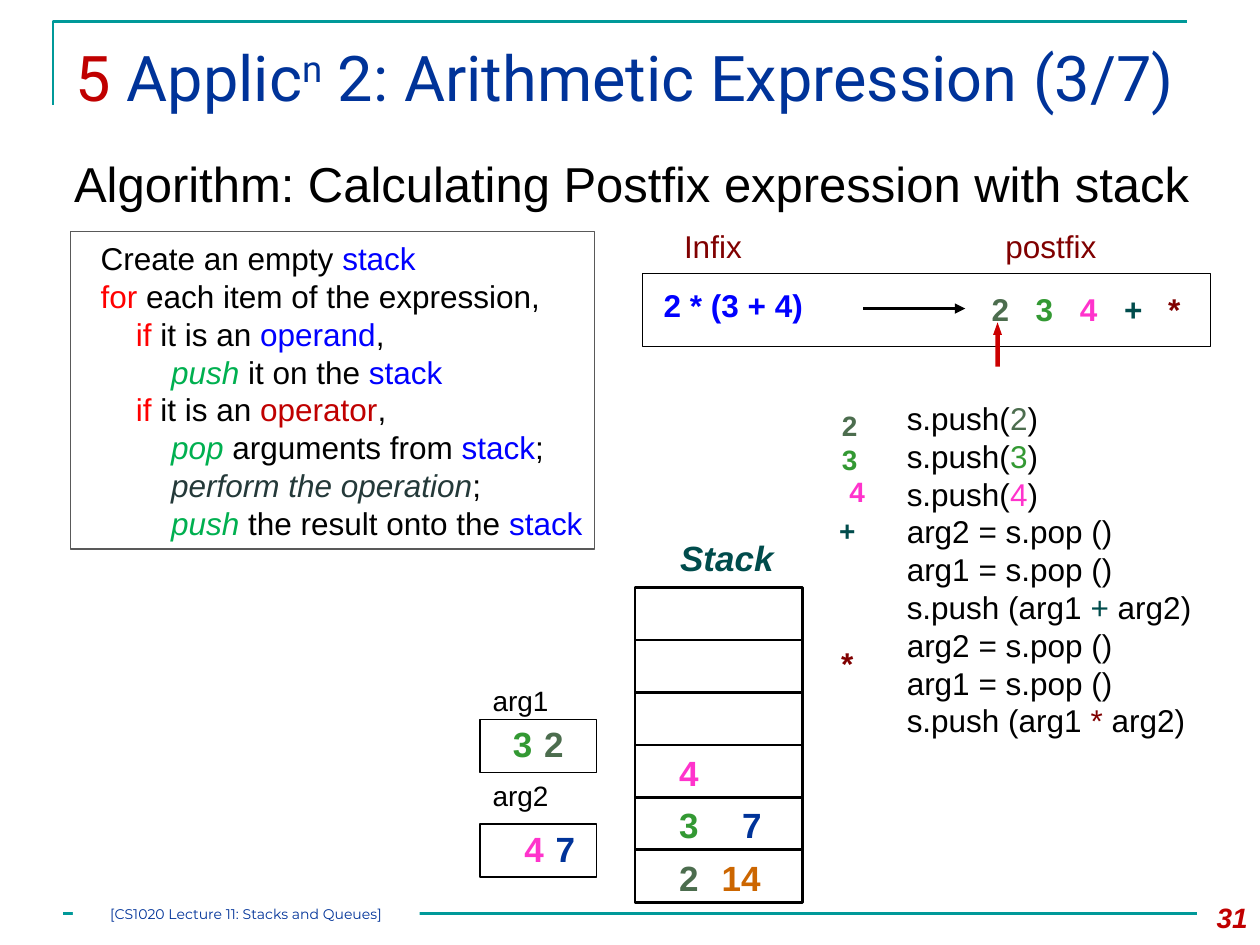
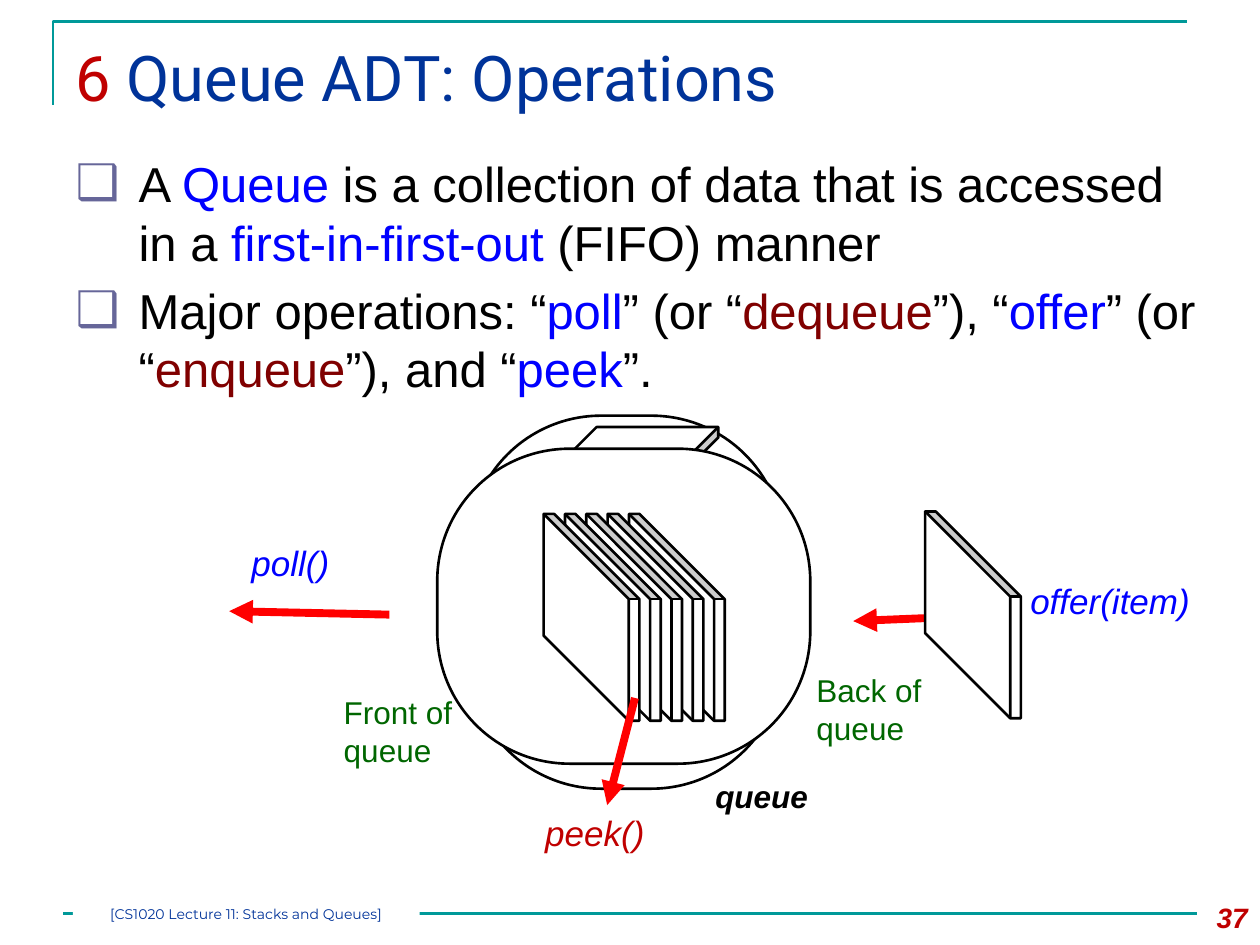
import pptx
import pptx.util
import pptx.dml.color
import pptx.enum.shapes
import pptx.enum.text
import pptx.oxml
import pptx.oxml.ns

Cm, Pt = pptx.util.Cm, pptx.util.Pt
RGBColor = pptx.dml.color.RGBColor
SHAPE = pptx.enum.shapes.MSO_SHAPE
ALIGN = pptx.enum.text.PP_ALIGN

BLACK = RGBColor(0x00, 0x00, 0x00)
WHITE = RGBColor(0xFF, 0xFF, 0xFF)
GRAY = RGBColor(0x59, 0x59, 0x59)
TEAL = RGBColor(0x00, 0x99, 0x99)
DEEP_TEAL = RGBColor(0x00, 0x4C, 0x4C)
SLATE = RGBColor(0x24, 0x39, 0x39)
NAVY = RGBColor(0x00, 0x33, 0x99)
BLUE = RGBColor(0x00, 0x00, 0xFF)
VIOLET = RGBColor(0x66, 0x66, 0x99)
RED = RGBColor(0xFF, 0x00, 0x00)
POINTER_RED = RGBColor(0xCC, 0x00, 0x00)
CRIMSON = RGBColor(0xC0, 0x00, 0x00)
MAROON = RGBColor(0x80, 0x00, 0x00)
LEAF = RGBColor(0x00, 0xB0, 0x50)
FOREST = RGBColor(0x00, 0x66, 0x00)
MOSS = RGBColor(0x4C, 0x6D, 0x4E)
GREEN = RGBColor(0x33, 0x99, 0x33)
PINK = RGBColor(0xFF, 0x33, 0xCC)
ORANGE = RGBColor(0xCC, 0x66, 0x00)

FOOTER = "[CS1020 Lecture 11: Stacks and Queues]"
TITLE_BOX = (1.27, 0.64, 23.7, 2.18)


def add_xml(parent, markup):
    """Append one drawing element given as markup."""
    namespace = pptx.oxml.ns.nsdecls("a")
    parent.append(pptx.oxml.parse_xml(markup.replace("/>", f" {namespace}/>", 1)))


def write(frame, paragraphs, size, color=BLACK, bold=None, italic=None,
          name="Arial", align=ALIGN.LEFT):
    """Fill a text frame; a run is a string or (text, color[, italic])."""
    for index, runs in enumerate(paragraphs):
        paragraph = frame.paragraphs[0] if index == 0 else frame.add_paragraph()
        paragraph.alignment = align
        font = paragraph.font
        font.name, font.size, font.bold, font.italic = name, Pt(size), bold, italic
        font.color.rgb = color
        for part in [runs] if isinstance(runs, str) else runs:
            text, *style = (part,) if isinstance(part, str) else part
            run = paragraph.add_run()
            run.text = text
            if style:
                run.font.color.rgb = style[0]
            if len(style) > 1:
                run.font.italic = style[1]


def add_label(slide, box, paragraphs, size, color=BLACK, **style):
    """Add a wrapping text box."""
    shape = slide.shapes.add_textbox(*map(Cm, box))
    shape.text_frame.word_wrap = True
    if isinstance(paragraphs, str):
        paragraphs = [paragraphs]
    write(shape.text_frame, paragraphs, size, color, **style)
    return shape


def add_block(slide, kind, box, fill=None, line=None, width=0.75,
              adjustments=(), rotation=0):
    """Add a preset shape without shadow."""
    shape = slide.shapes.add_shape(kind, *map(Cm, box))
    shape.shadow.inherit = False
    shape.rotation = rotation
    for index, value in enumerate(adjustments):
        shape.adjustments[index] = value
    if fill is None:
        shape.fill.background()
    else:
        shape.fill.solid()
        shape.fill.fore_color.rgb = fill
    if line is None:
        shape.line.fill.background()
    else:
        shape.line.color.rgb = line
        shape.line.width = Pt(width)
    return shape


def add_line(slide, ends, color=BLACK, width=1.5, arrow=False):
    """Add a straight line, with an arrowhead at its end on request."""
    straight = pptx.enum.shapes.MSO_CONNECTOR.STRAIGHT
    connector = slide.shapes.add_connector(straight, *map(Cm, ends))
    connector.line.color.rgb = color
    connector.line.width = Pt(width)
    if arrow:
        add_xml(connector.line._get_or_add_ln(), '<a:tailEnd type="triangle"/>')
    add_xml(connector._element.spPr, "<a:effectLst/>")


def add_frame(slide, number):
    """Draw the corner rule, footer and page number."""
    builder = slide.shapes.build_freeform(Cm(1.07), Cm(2.11))
    builder.add_line_segments([(Cm(1.07), Cm(0.43)), (Cm(23.93), Cm(0.43))], close=False)
    corner = builder.convert_to_shape()
    corner.shadow.inherit = False
    corner.fill.background()
    corner.line.color.rgb = TEAL
    corner.line.width = Pt(1.5)
    add_line(slide, (1.27, 18.42, 24.13, 18.42), TEAL)
    add_label(slide, (23.7, 18.03, 1.7, 1.02), str(number), 16, CRIMSON,
              bold=True, italic=True, align=ALIGN.RIGHT)
    footer = add_block(slide, SHAPE.RECTANGLE, (1.47, 18.21, 6.99, 0.43), WHITE)
    frame = footer.text_frame
    frame.margin_left = frame.margin_right = frame.margin_top = frame.margin_bottom = 0
    write(frame, [FOOTER], 8, NAVY, name="Montserrat", align=ALIGN.CENTER)


def fill_placeholder(shape, box):
    """Move a placeholder and return its top-anchored text frame."""
    shape.left, shape.top, shape.width, shape.height = map(Cm, box)
    frame = shape.text_frame
    frame.word_wrap = True
    frame.auto_size = pptx.enum.text.MSO_AUTO_SIZE.NONE
    frame.vertical_anchor = pptx.enum.text.MSO_ANCHOR.TOP
    return frame


def start_slide(presentation, number, title, body_box, body, bullet=None):
    """Add a slide with its frame, title and body text."""
    slide = presentation.slides.add_slide(presentation.slide_layouts[1])
    write(fill_placeholder(slide.shapes.title, TITLE_BOX), [title], 36, NAVY, name="Roboto")
    frame = fill_placeholder(slide.placeholders[1], body_box)
    write(frame, body, 28)
    for index, paragraph in enumerate(frame.paragraphs):
        paragraph.space_before = Pt(5 if index else 0)
        properties = paragraph._p.get_or_add_pPr()
        indent = Cm(1.27 if bullet else 0)
        properties.set("marL", str(indent))
        properties.set("indent", str(-indent))
        default_font = properties.find(pptx.oxml.ns.qn("a:defRPr"))
        properties.remove(default_font)
        if bullet:
            add_xml(properties, f'<a:buClr><a:srgbClr val="{VIOLET}"/></a:buClr>'
                    .replace("<a:buClr>", f'<a:buClr {pptx.oxml.ns.nsdecls("a")}>'))
            add_xml(properties, f'<a:buChar char="{bullet}"/>')
        else:
            add_xml(properties, "<a:buNone/>")
        properties.append(default_font)
    add_frame(slide, number)
    return slide


def add_algorithm(slide, box):
    """Draw the boxed pseudocode with one indent per nesting level."""
    steps = [
        (0, ["Create an empty ", ("stack", BLUE)]),
        (0, [("for", RED), " each item of the expression,"]),
        (1, [("if", RED), " it is an ", ("operand", BLUE), ","]),
        (2, [("push ", LEAF, True), "it on the ", ("stack", BLUE)]),
        (1, [("if", RED), " it is an ", ("operator", CRIMSON), ","]),
        (2, [("pop", LEAF, True), " arguments from ", ("stack", BLUE), ";"]),
        (2, [("perform the operation", SLATE, True), ";"]),
        (2, [("push", LEAF, True), " the result onto the ", ("stack", BLUE)]),
    ]
    panel = add_block(slide, SHAPE.RECTANGLE, box, line=GRAY)
    frame = panel.text_frame
    frame.margin_right = 0
    write(frame, [runs for level, runs in steps], 18)
    for (level, runs), paragraph in zip(steps, frame.paragraphs):
        paragraph._p.get_or_add_pPr().set("marL", str(Cm(0.36 + 0.71 * level)))


def add_expression(slide, box):
    """Draw the infix to postfix conversion and the reading pointer."""
    left, top, width, height = box
    add_label(slide, (left + 0.59, top, 3, 1.02), "Infix", 18, MAROON)
    add_label(slide, (left + 7.07, top, 4, 1.02), "postfix", 18, MAROON)
    add_block(slide, SHAPE.RECTANGLE, (left, top + 1.06, width, height - 1.06), line=BLACK)
    add_label(slide, (left + 0.18, top + 1.19, 4.62, 1.02), "2 * (3 + 4)", 18, BLUE, bold=True)
    add_line(slide, (left + 4.45, top + 1.77, left + 6.51, top + 1.77), arrow=True)
    tokens = zip("234+*", (MOSS, GREEN, PINK, DEEP_TEAL, MAROON))
    for index, (token, color) in enumerate(tokens):
        add_label(slide, (left + 6.79 + 0.89 * index, top + 1.27, 0.95, 1.02),
                  token, 18, color, bold=True)
    add_block(slide, SHAPE.UP_ARROW, (left + 7.07, top + 2.05, 0.18, 0.89),
              POINTER_RED, adjustments=(0.5, 1.41))


def add_program(slide, box):
    """List the stack calls beside the tokens that cause them."""
    left, top, width, height = box
    pops = ["arg2 = s.pop ()", "arg1 = s.pop ()"]
    pushes = [["s.push(", item, ")"] for item in (("2", MOSS), ("3", GREEN), ("4", PINK))]
    results = [["s.push (arg1 ", item, " arg2)"] for item in (("+", DEEP_TEAL), ("*", MAROON))]
    calls = [*pushes, *pops, results[0], *pops, results[1]]
    add_label(slide, (left + 1.6, top, width - 1.6, height), calls, 18)
    for token, color, size, shift, drop in (
            ("2", MOSS, 16, 0, 0.2), ("3", GREEN, 16, 0, 0.87), ("4", PINK, 16, 0.15, 1.53),
            ("+", DEEP_TEAL, 16, -0.05, 2.3), ("*", MAROON, 18, -0.05, 4.93)):
        add_label(slide, (left + shift, top + drop, 1.4, 0.95), token, size, color,
                  bold=True, align=ALIGN.CENTER)


def add_stack(slide, box):
    """Draw the titled stack of six cells and its values."""
    left, top, width, height = box
    add_label(slide, (left + 0.66, top, 2.7, 1.12), "Stack", 20, DEEP_TEAL,
              bold=True, italic=True)
    top, height = top + 1.15, height - 1.15
    row_height = height / 6
    add_block(slide, SHAPE.RECTANGLE, (left, top, width, height), line=BLACK, width=1.5)
    for row in range(1, 6):
        edge = top + row * row_height
        add_line(slide, (left, edge, left + width, edge))
    for value, color, row, shift in (("4", PINK, 3, 0.64), ("3", GREEN, 4, 0.64),
                                     ("7", NAVY, 4, 1.91), ("2", MOSS, 5, 0.64),
                                     ("14", ORANGE, 5, 1.5)):
        add_label(slide, (left + shift, top + row * row_height, 1.4, 1.09),
                  value, 20, color, bold=True)


def add_arguments(slide, box):
    """Draw the two argument slots with their successive values."""
    left, top, width, height = box
    slots = (("arg1", 0, 0.84, (("3", GREEN, 0.41), ("2", MOSS, 1.04))),
             ("arg2", 1.91, 2.95, (("4", PINK, 0.64), ("7", NAVY, 1.27))))
    for name, label_drop, slot_drop, values in slots:
        add_label(slide, (left, top + label_drop, width, 0.94), name, 16)
        add_block(slide, SHAPE.RECTANGLE, (left, top + slot_drop, width, 1.07), line=BLACK)
        for value, color, shift in values:
            add_label(slide, (left + shift, top + slot_drop - 0.05, 0.95, 1.09),
                      value, 20, color, bold=True)


def add_card(slide, left, top):
    """Draw one upright queue item."""
    add_block(slide, SHAPE.CUBE, (left, top, 4.17, 1.93), WHITE, BLACK, 1.5, (0.89,), 270)


def add_queue(slide, box):
    """Draw the queue container, its items and its operations."""
    left, top, width, height = box
    container = dict(fill=WHITE, line=BLACK, width=1.5, adjustments=(0.42,))
    add_label(slide, (left + 9.55, top + 7.16, 3, 1.02), "queue", 18, bold=True, italic=True)
    add_block(slide, SHAPE.ROUNDED_RECTANGLE, (left + 4.83, top, 6.35, 7.52), **container)
    add_block(slide, SHAPE.CUBE, (left + 5.69, top + 0.23, 4.17, 1.93),
              WHITE, BLACK, 1.5, (0.89,))
    add_line(slide, (left + 15.78, top + 4.01, left + 12.58, top + 4.14), RED, 4.5, True)
    add_line(slide, (left + 3.23, top + 4.01, left, top + 3.94), RED, 4.5, True)
    add_block(slide, SHAPE.ROUNDED_RECTANGLE, (left + 4.78, top + 0.08, 6.35, 7.52),
              rotation=270, **container)
    add_card(slide, left + 12.91, top + 3.05)
    for position in range(5):
        add_card(slide, left + 6.94 - 0.43 * position, top + 3.1)
    for text, color, shift, drop in (("poll()", BLUE, 0.2, 2.41),
                                     ("offer(item)", BLUE, 15.9, 3.18),
                                     ("peek()", CRIMSON, 6.12, 7.85)):
        add_label(slide, (left + shift, top + drop, 4, 1.12), text, 20, color, italic=True)
    for text, shift, drop in (("Front of queue", 2.06, 5.46), ("Back of queue", 11.59, 5.03)):
        add_label(slide, (left + shift, top + drop, 3, 1.8), text, 18, FOREST)
    add_line(slide, (left + 8.18, top + 5.69, left + 7.62, top + 7.85), RED, 4.5, True)


def build_expression_slide(presentation):
    """Build the postfix calculation slide."""
    title = [("5 ", CRIMSON), "Applic", "n", " 2: Arithmetic Expression (3/7)"]
    slide = start_slide(presentation, 31, title, (1.24, 2.97, 23.52, 1.6),
                        ["Algorithm: Calculating Postfix expression with stack"])
    superscript = slide.shapes.title.text_frame.paragraphs[0].runs[2]
    superscript.font._element.set("baseline", "30000")
    add_algorithm(slide, (1.42, 4.67, 10.57, 6.4))
    add_expression(slide, (12.95, 4.45, 11.46, 2.53))
    add_program(slide, (16.43, 7.92, 8.2, 8.18))
    add_stack(slide, (12.8, 10.69, 3.38, 7.5))
    add_arguments(slide, (9.68, 13.66, 2.34, 4.02))


def build_queue_slide(presentation):
    """Build the queue operations slide."""
    body = [
        ["A ", ("Queue", BLUE), " is a collection of data that is accessed in a ",
         ("first-in-first-out", BLUE), " (FIFO) manner"],
        ["Major operations: “", ("poll", BLUE), "” (or “", ("dequeue", MAROON), "”), “",
         ("offer", BLUE), "” (or “", ("enqueue", MAROON), "”), and “", ("peek", BLUE), "”."],
    ]
    slide = start_slide(presentation, 37, [("6 ", CRIMSON), "Queue ADT: Operations"],
                        (1.27, 2.97, 23.29, 4.65), body, "❑")
    add_queue(slide, (4.62, 8.38, 19.66, 8.97))


def main():
    """Build and save the presentation."""
    presentation = pptx.Presentation()
    presentation.slide_width, presentation.slide_height = Cm(25.4), Cm(19.05)
    build_expression_slide(presentation)
    build_queue_slide(presentation)
    presentation.save("out.pptx")


if __name__ == "__main__":
    main()
